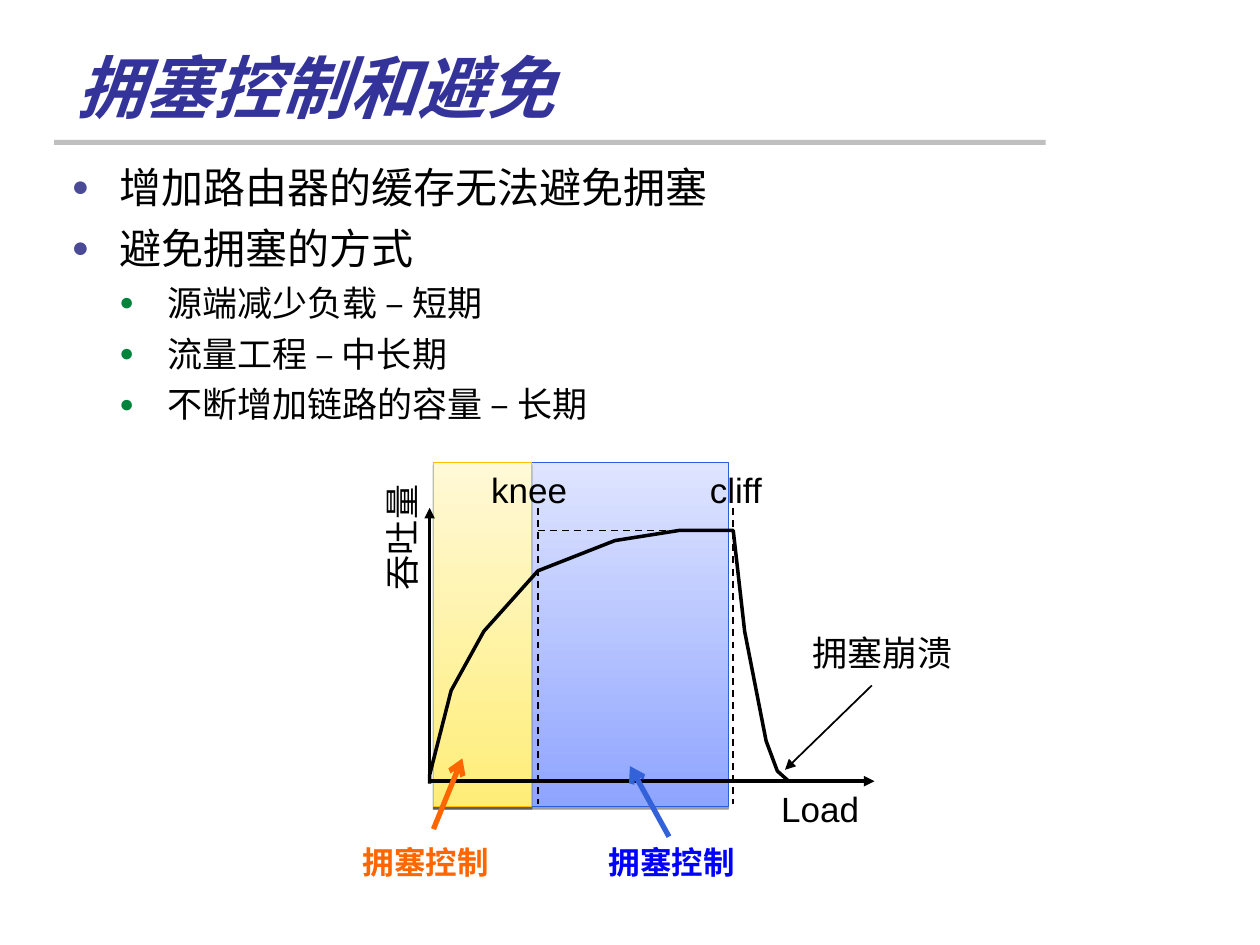
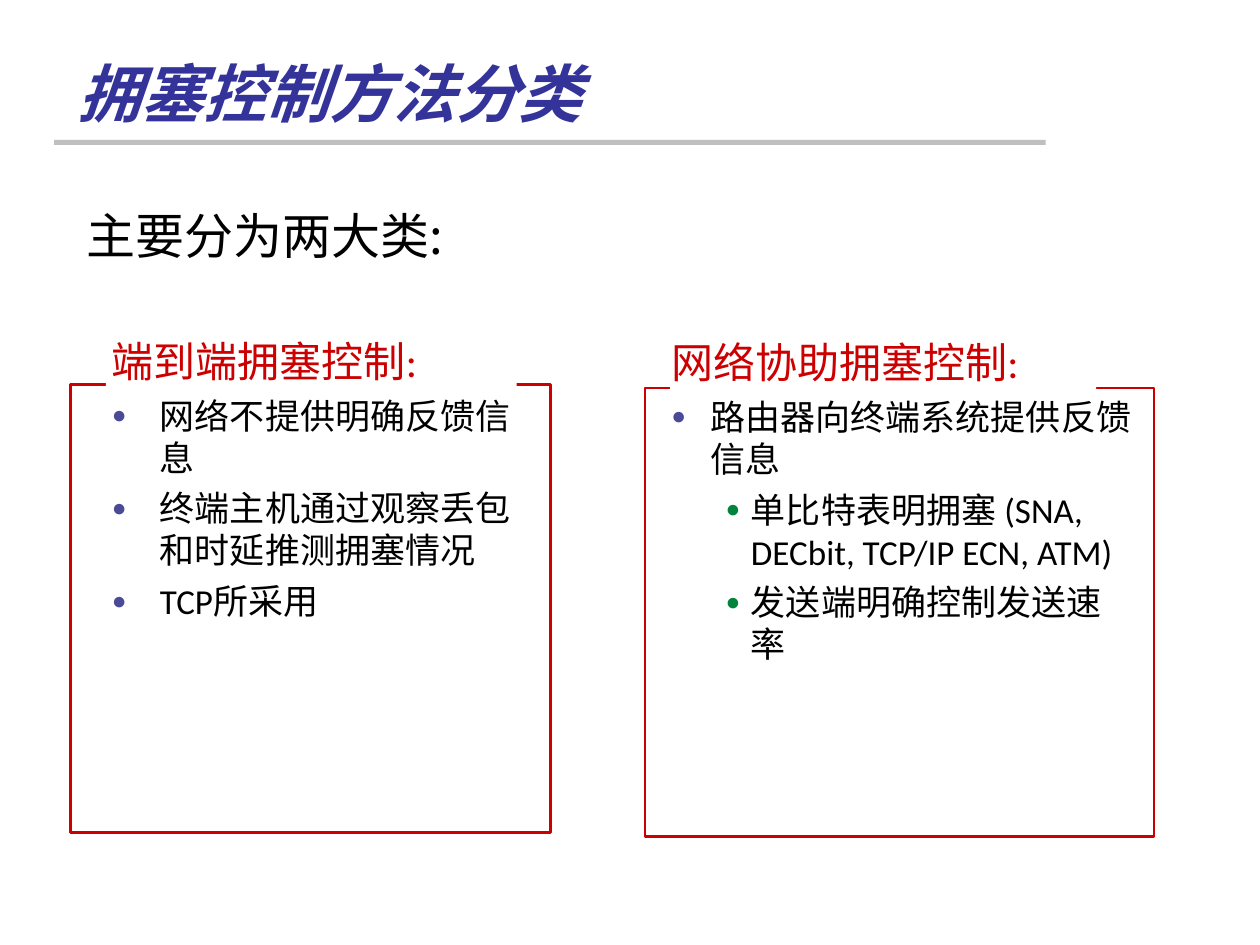
from lxml import etree
from pptx import Presentation
from pptx.dml.color import RGBColor
from pptx.enum import dml, shapes, text
from pptx.oxml import ns
from pptx.util import Pt

BLACK = RGBColor(0, 0, 0)
WHITE = RGBColor(255, 255, 255)
GREY = RGBColor(0xBF, 0xBF, 0xBF)
TITLE_BLUE = RGBColor(0x33, 0x33, 0x99)
BULLET_BLUE = RGBColor(0x4A, 0x4A, 0x97)
BULLET_GREEN = RGBColor(0x00, 0x84, 0x3C)
RED = RGBColor(0xCC, 0, 0)
ORANGE = RGBColor(0xFF, 0x66, 0)
CAPTION_BLUE = RGBColor(0, 0, 0xFF)
ARROW_BLUE = RGBColor(0x32, 0x61, 0xDA)
BLUE_EDGE = RGBColor(0x2D, 0x5D, 0xD9)
BLUE_DEEP = RGBColor(0x8F, 0xA4, 0xFF)
BLUE_PALE = RGBColor(0xDF, 0xE5, 0xFF)
YELLOW_EDGE = RGBColor(0xFF, 0xBF, 0)
YELLOW_DEEP = RGBColor(0xFF, 0xED, 0x78)
YELLOW_PALE = RGBColor(0xFF, 0xF9, 0xD7)

BODY_FONT = "Calibri"
LABEL_FONT = "Arial"
CHINESE_FONT = "Noto Sans CJK SC"
LEADING = 1.2


def add_xml(parent, tag, **attributes):
    return etree.SubElement(parent, ns.qn(tag), attributes)


def add_box(page, left, top, width, height, wrap=True):
    box = page.shapes.add_textbox(Pt(left), Pt(top), Pt(width), Pt(height))
    box.text_frame.word_wrap = wrap
    return box


def add_span(para, content, size, color, font=BODY_FONT, bold=None, italic=None):
    span = para.add_run()
    span.text = content
    span.font.name = font
    span.font.size = Pt(size)
    span.font.bold = bold
    span.font.italic = italic
    span.font.color.rgb = color
    add_xml(span.font._element, "a:ea", typeface=CHINESE_FONT)


def set_leading(para, size, factor=LEADING):
    para.line_spacing = Pt(round(size * factor, 2))


def add_bullet(para, color):
    properties = para._p.get_or_add_pPr()
    add_xml(add_xml(properties, "a:buClr"), "a:srgbClr", val=str(color))
    add_xml(properties, "a:buSzPct", val="70000")
    add_xml(properties, "a:buFont", typeface="Arial")
    add_xml(properties, "a:buChar", char="●")


def add_list(page, place, items):
    """Each item is (text, size, colour, bullet colour, margin, hanging, space before)."""
    frame = add_box(page, *place).text_frame
    for index, (content, size, color, bullet, margin, hanging, before) in enumerate(items):
        para = frame.paragraphs[0] if index == 0 else frame.add_paragraph()
        properties = para._p.get_or_add_pPr()
        properties.set("marL", str(Pt(margin)))
        properties.set("indent", str(Pt(-hanging)))
        if bullet is not None:
            add_bullet(para, bullet)
        if index:
            para.space_before = Pt(before)
        set_leading(para, size)
        add_span(para, content, size, color)


def add_label(page, content, left, top, width, size=20, color=BLACK,
              bold=None, rotation=0):
    """Centred one-line label; without side margins the text always fits its box."""
    box = add_box(page, left, top, width, 31, wrap=False)
    box.rotation = rotation
    box.text_frame.margin_left = box.text_frame.margin_right = Pt(0)
    para = box.text_frame.paragraphs[0]
    para.alignment = text.PP_ALIGN.CENTER
    set_leading(para, size)
    add_span(para, content, size, color, LABEL_FONT, bold)


def add_rectangle(page, left, top, width, height, fill=None, edge=None, weight=1.5):
    rectangle = page.shapes.add_shape(shapes.MSO_SHAPE.RECTANGLE,
                                      Pt(left), Pt(top), Pt(width), Pt(height))
    rectangle.shadow.inherit = False
    if fill is None:
        rectangle.fill.background()
    else:
        rectangle.fill.solid()
        rectangle.fill.fore_color.rgb = fill
    if edge is None:
        rectangle.line.fill.background()
    else:
        rectangle.line.color.rgb = edge
        rectangle.line.width = Pt(weight)
    return rectangle


def add_region(page, width, deep, pale, edge):
    """Shaded zone of the load diagram, deep at the bottom, with a hard shadow below."""
    region = add_rectangle(page, 247.7, 264.2, width, 196.6, edge=edge, weight=0.75)
    region.fill.gradient()
    region.fill.gradient_angle = 90
    for stop, color in zip(region.fill.gradient_stops, (deep, pale)):
        stop.color.rgb = color
    effects = region._element.spPr.find(ns.qn("a:effectLst"))
    shadow = add_xml(effects, "a:outerShdw", blurRad="0", dist=str(Pt(1.6)),
                     dir="5400000", rotWithShape="0")
    add_xml(add_xml(shadow, "a:srgbClr", val="000000"), "a:alpha", val="38000")


def add_line(page, start, end, color=BLACK, weight=1, head=None, dashed=False):
    line = page.shapes.add_connector(shapes.MSO_CONNECTOR.STRAIGHT,
                                     *(Pt(value) for value in (*start, *end)))
    line.line.color.rgb = color
    line.line.width = Pt(weight)
    if dashed:
        line.line.dash_style = dml.MSO_LINE.DASH
    if head:
        add_xml(line.line._get_or_add_ln(), "a:tailEnd", type=head)
    add_xml(line._element.spPr, "a:effectLst")


def add_curve(page, points):
    start, *rest = [(Pt(x), Pt(y)) for x, y in points]
    builder = page.shapes.build_freeform(*start)
    builder.add_line_segments(rest, close=False)
    curve = builder.convert_to_shape()
    curve.shadow.inherit = False
    curve.fill.background()
    curve.line.color.rgb = BLACK
    curve.line.width = Pt(2)


def add_page(deck):
    page = deck.slides.add_slide(deck.slide_layouts[6])
    add_rectangle(page, 31, 80, 566.6, 2.9, fill=GREY)
    return page


def add_title(page, content, size, place):
    frame = add_box(page, *place).text_frame
    frame.vertical_anchor = text.MSO_ANCHOR.BOTTOM
    set_leading(frame.paragraphs[0], size)
    add_span(frame.paragraphs[0], content, size, TITLE_BLUE, bold=True, italic=True)


def add_load_diagram(page):
    origin = (245.5, 446.4)
    knee, cliff, top, peak = 307.4, 419, 290.2, 303.1
    add_line(page, origin, (origin[0], top), weight=2, head="triangle")
    add_line(page, origin, (499.7, origin[1]), weight=2, head="triangle")
    add_curve(page, [(245.5, 447.8), (245.5, 442.8), (257.8, 394.6), (276.5, 360.7),
                     (knee, 326.2), (351.4, 308.9), (388.1, peak), (cliff, peak),
                     (425.5, 360.7), (437.8, 423.4), (444.2, 440.6), (450.7, 446.4)])
    for x in (cliff, knee):
        add_line(page, (x, top), (x, 459.4), dashed=True)
    add_line(page, (knee, peak), (cliff, peak), dashed=True)
    add_label(page, "Load", 439.2, 446.4, 59)
    add_label(page, "吞吐量", 192.2, 291.6, 74.2, rotation=270)
    add_label(page, "knee", 273.6, 264.2, 57.6)
    add_label(page, "cliff", 398.2, 264.2, 44.6)
    add_label(page, "拥塞崩溃", 457.2, 357.1, 94.3)
    add_line(page, (498.2, 391.7), (448.6, 439.9), head="triangle")


def build_avoidance_page(deck):
    page = add_page(deck)
    add_region(page, 168.5, BLUE_DEEP, BLUE_PALE, BLUE_EDGE)
    add_region(page, 56.2, YELLOW_DEEP, YELLOW_PALE, YELLOW_EDGE)
    add_title(page, "拥塞控制和避免", 39, (36.7, 20.2, 594, 56.2))
    main_style = (24, BLACK, BULLET_BLUE, 27.4, 27.4, 6)
    sub_style = (20, BLACK, BULLET_GREEN, 54.7, 27.4, 5)
    add_list(page, (33.8, 88.6, 686, 420), [
        ("增加路由器的缓存无法避免拥塞", *main_style),
        ("避免拥塞的方式", *main_style),
        ("源端减少负载 – 短期", *sub_style),
        ("流量工程 – 中长期", *sub_style),
        ("不断增加链路的容量 – 长期", *sub_style),
    ])
    add_load_diagram(page)
    for left, color, arrow_color, start, end in (
            (340.6, CAPTION_BLUE, ARROW_BLUE, (382.3, 478.1), (360, 437.8)),
            (200.2, ORANGE, ORANGE, (247.7, 473.8), (264.2, 433.4))):
        add_label(page, "拥塞控制", left, 478.1, 86.4, 18, color, True)
        add_line(page, start, end, arrow_color, 3, "arrow")


def add_category(page, frame, mask, place, heading, hanging, items):
    """Red frame whose top edge is broken by the heading."""
    add_rectangle(page, *frame, edge=RED)
    add_rectangle(page, *mask, fill=WHITE)
    add_list(page, place, [(heading, 24, RED, None, hanging, hanging, 6), *items])


def build_classes_page(deck):
    page = add_page(deck)
    add_title(page, "拥塞控制方法分类", 36, (37.4, 15.1, 612, 62.6))
    intro = add_box(page, 42.5, 118.8, 642, 43).text_frame.paragraphs[0]
    set_leading(intro, 28, 0.85 * LEADING)
    add_span(intro, "主要分为两大类:", 28, BLACK, CHINESE_FONT)

    left_style = (20, BLACK, BULLET_BLUE, 27.4, 27.4, 5)
    add_category(page, (40.3, 219.6, 274.3, 256.3), (60.5, 199.4, 234.7, 44.6),
                 (56.9, 187.9, 259.2, 300), "端到端拥塞控制:", 27.4, [
                     ("网络不提供明确反馈信息", *left_style),
                     ("终端主机通过观察丢包和时延推测拥塞情况", *left_style),
                     ("TCP所采用", *left_style)])
    sub_style = (20, BLACK, BULLET_GREEN, 45.4, 14.4, 5)
    add_category(page, (368.6, 221.8, 290.9, 256.3), (383, 200.9, 243.4, 44.6),
                 (376.6, 188.6, 279.4, 307), "网络协助拥塞控制:", 22.3, [
                     ("路由器向终端系统提供反馈信息", 20, BLACK, BULLET_BLUE, 22.3, 22.3, 5),
                     ("单比特表明拥塞 (SNA, DECbit, TCP/IP ECN, ATM)", *sub_style),
                     ("发送端明确控制发送速率", *sub_style)])


def main():
    deck = Presentation()
    deck.slide_width, deck.slide_height = Pt(720), Pt(540)
    build_avoidance_page(deck)
    build_classes_page(deck)
    deck.save("out.pptx")


if __name__ == "__main__":
    main()
